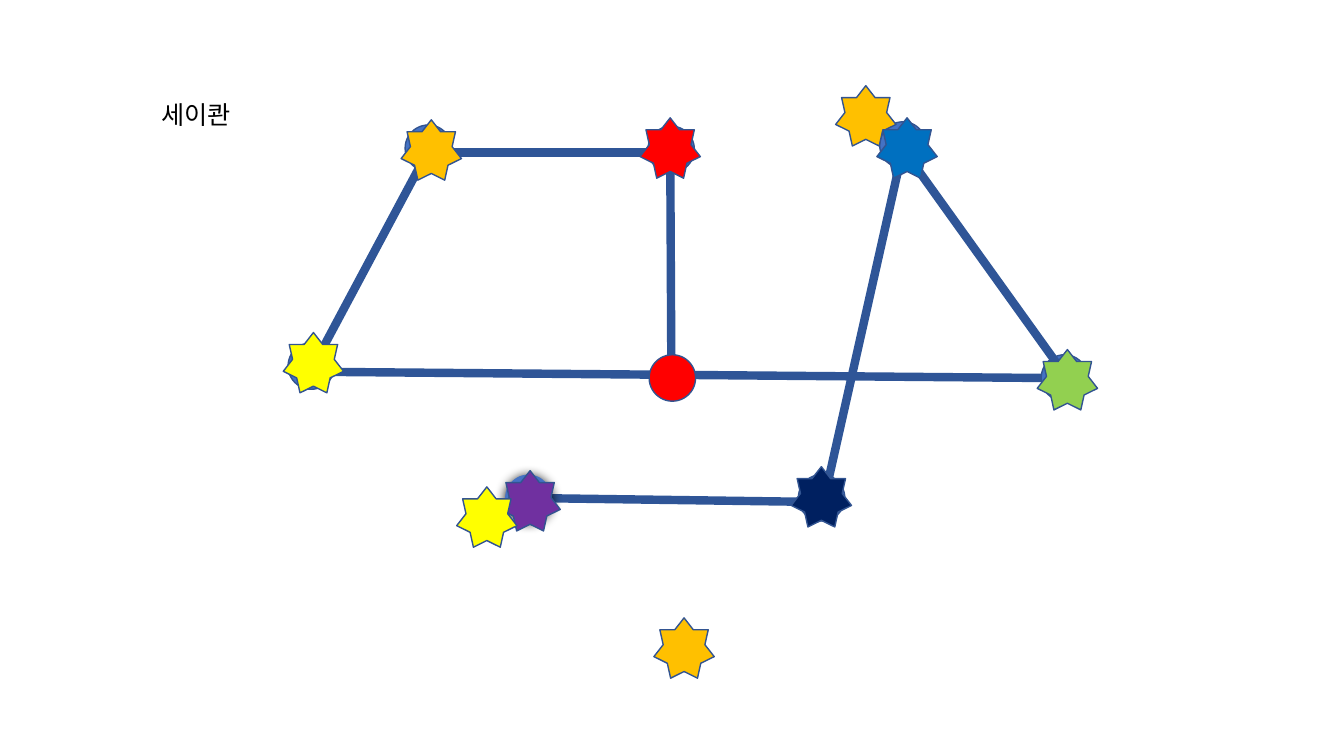
from lxml.etree import SubElement
from pptx import Presentation
from pptx.dml.color import RGBColor
from pptx.enum.shapes import MSO_CONNECTOR as Link, MSO_SHAPE as Shape
from pptx.enum.text import MSO_AUTO_SIZE as AutoSize
from pptx.oxml.ns import qn
from pptx.util import Cm, Pt

BLUE, RED, ORANGE, YELLOW = "4472C4", "FF0000", "FFC000", "FFFF00"


def color(value):
    return RGBColor.from_string(value)


class StarMap:
    font = "Noto Sans CJK KR"
    outline = "325491"
    path_color = "2F5597"
    circle_size = 1.17
    star_size = 1.52

    def __init__(self, page):
        self.page = page

    def segment(self, x1, y1, x2, y2):
        line = self.page.shapes.add_connector(
            Link.STRAIGHT, Cm(x1), Cm(y1), Cm(x2), Cm(y2))
        line.line.color.rgb = color(self.path_color)
        line.line.width = Pt(6)
        SubElement(line._element.spPr, qn("a:effectLst"))

    def marker(self, kind, size, left, top, fill):
        shape = self.page.shapes.add_shape(
            kind, Cm(left), Cm(top), Cm(size), Cm(size))
        shape.shadow.inherit = False
        shape.fill.solid()
        shape.fill.fore_color.rgb = color(fill)
        shape.line.color.rgb = color(self.outline)
        shape.line.width = Pt(1)
        return shape

    def circle(self, left, top, fill=BLUE):
        return self.marker(Shape.OVAL, self.circle_size, left, top, fill)

    def star(self, left, top, fill):
        return self.marker(Shape.STAR_7_POINT, self.star_size, left, top, fill)

    def shadowed_circle(self, left, top):
        shape = self.circle(left, top)
        shape.line.fill.background()
        effects = shape._element.spPr.find(qn("a:effectLst"))
        shadow = SubElement(effects, qn("a:outerShdw"), blurRad=str(Pt(8.5)),
                            dist=str(Pt(1)), dir="5400000", rotWithShape="0")
        SubElement(shadow, qn("a:srgbClr"), val="000000")

    def label(self, text, left, top, width, height):
        box = self.page.shapes.add_textbox(
            Cm(left), Cm(top), Cm(width), Cm(height))
        frame = box.text_frame
        frame.word_wrap = False
        frame.auto_size = AutoSize.SHAPE_TO_FIT_TEXT
        para = frame.paragraphs[0]
        span = para.add_run()
        span.text = text
        span.font.size = Pt(18)
        span.font.name = self.font
        span.font.color.rgb = color("000000")
        SubElement(span.font._element, qn("a:ea"), typeface=self.font)


def main():
    deck = Presentation()
    deck.slide_width, deck.slide_height = Cm(33.87), Cm(19.05)
    star_map = StarMap(deck.slides.add_slide(deck.slide_layouts[6]))

    # Paths behind the circles
    for ends in ((8.03, 9.37, 26.95, 9.53), (13.41, 12.55, 20.7, 12.65),
                 (16.89, 3.73, 16.92, 9.6), (16.97, 3.84, 10.59, 3.84)):
        star_map.segment(*ends)

    # Label and stops
    star_map.circle(16.36, 8.94, RED)
    star_map.label("세이콴", 3.81, 2.39, 2.44, 1.02)
    for left, top in ((16.33, 3.18), (26.24, 8.94), (22.17, 3.07),
                      (20.12, 11.96), (10.21, 3.15), (7.26, 8.64)):
        star_map.circle(left, top)
    star_map.shadowed_circle(12.73, 11.96)

    # Paths in front of the circles
    for ends in ((26.95, 9.6, 22.76, 3.76), (7.87, 9.27, 10.8, 3.78),
                 (20.7, 12.88, 22.76, 3.73)):
        star_map.segment(*ends)

    # Stars
    for left, top, fill in (
            (21.06, 2.16, ORANGE), (10.11, 3.02, ORANGE),
            (16.48, 15.57, ORANGE), (16.13, 2.97, RED),
            (7.14, 8.38, YELLOW), (26.14, 8.81, "92D050"),
            (22.1, 2.97, "0070C0"), (19.94, 11.76, "002060"),
            (12.6, 11.86, "7030A0"), (11.51, 12.27, YELLOW)):
        star_map.star(left, top, fill)

    deck.save("out.pptx")


if __name__ == "__main__":
    main()
